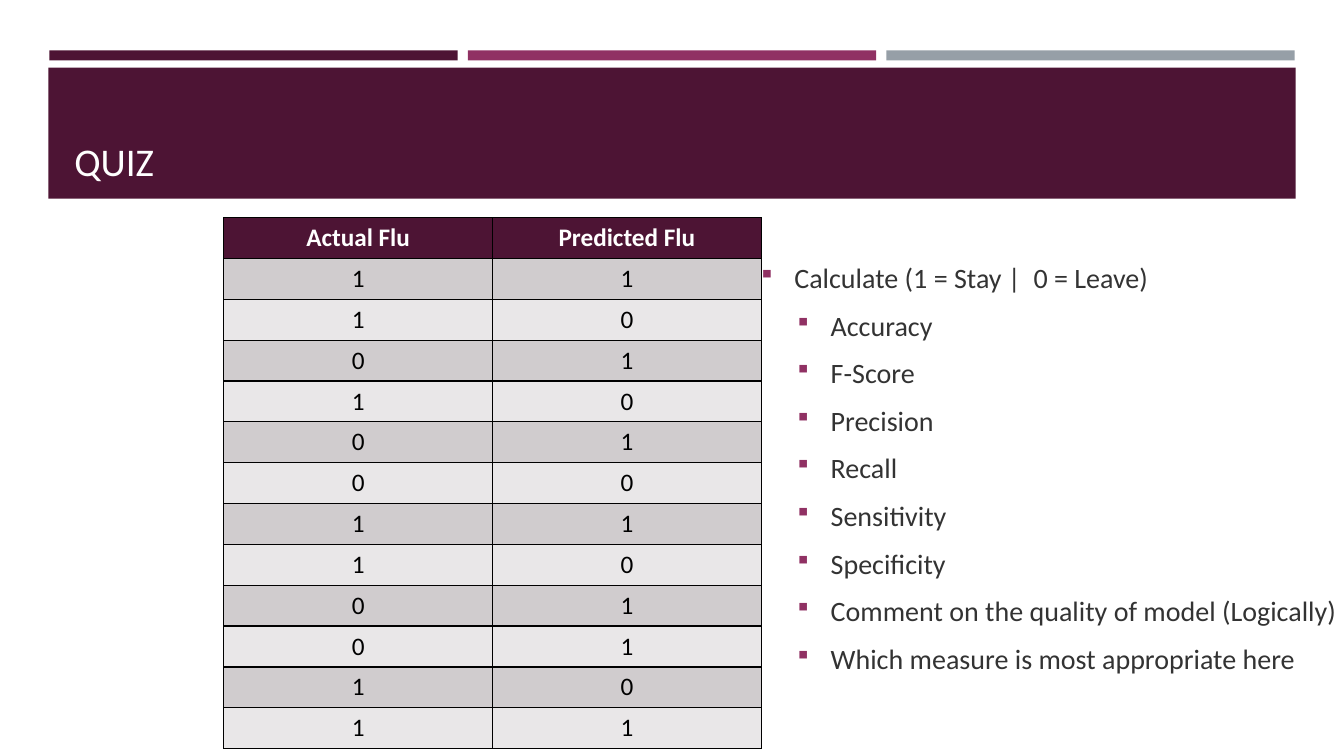
from lxml.etree import SubElement
from pptx import Presentation
from pptx.dml.color import RGBColor
from pptx.enum.shapes import MSO_SHAPE
from pptx.enum.text import MSO_ANCHOR, PP_ALIGN
from pptx.oxml.ns import qn
from pptx.util import Inches, Pt

TITLE = "QUIZ"
HEADS = ("Actual Flu", "Predicted Flu")
ACTUAL = (1, 1, 0, 1, 0, 0, 1, 1, 0, 0, 1, 1)
PREDICTED = (1, 0, 1, 0, 1, 0, 1, 0, 1, 1, 0, 1)
TASK = "Calculate (1 = Stay |  0 = Leave)"
ITEMS = (
    "Accuracy",
    "F-Score",
    "Precision",
    "Recall",
    "Sensitivity",
    "Specificity",
    "Comment on the quality of model (Logically)",
    "Which measure is most appropriate here",
)
THEME = {
    "font": "Calibri",
    "plum": "4D1434",
    "berry": "903163",
    "slate": "969FA7",
    "white": "FFFFFF",
    "black": "000000",
    "text": "333333",
    "bands": ("D0CCCE", "E9E7E8"),
    "title": 28,
    "body": 20,
    "cell": 18,
}


def style(para, size, color, bold=False):
    for run in para.runs:
        font = run.font
        font.name = THEME["font"]
        font.size = Pt(size)
        font.bold = bold
        font.color.rgb = RGBColor.from_string(color)


def add_bar(slide, left, top, width, height, color):
    bar = slide.shapes.add_shape(
        MSO_SHAPE.RECTANGLE, Inches(left), Inches(top), Inches(width), Inches(height)
    )
    bar.shadow.inherit = False
    bar.fill.solid()
    bar.fill.fore_color.rgb = RGBColor.from_string(color)
    bar.line.fill.background()


def add_frame(slide, left, top, width, height, anchor):
    box = slide.shapes.add_textbox(
        Inches(left), Inches(top), Inches(width), Inches(height)
    )
    frame = box.text_frame
    frame.word_wrap = True
    frame.vertical_anchor = anchor
    return frame


def add_bullet(para, left):
    props = para._p.get_or_add_pPr()
    props.set("marL", str(Inches(left)))
    props.set("indent", str(Inches(-0.33)))
    color = SubElement(props, qn("a:buClr"))
    SubElement(color, qn("a:srgbClr"), val=THEME["berry"])
    SubElement(props, qn("a:buSzPct"), val="92000")
    SubElement(props, qn("a:buFont"), typeface="Wingdings")
    SubElement(props, qn("a:buChar"), char="§")


def add_border(cell):
    props = cell._tc.get_or_add_tcPr()
    for index, side in enumerate(("lnL", "lnR", "lnT", "lnB")):
        line = props.makeelement(qn("a:" + side), {"w": str(Pt(1))})
        fill = SubElement(line, qn("a:solidFill"))
        SubElement(fill, qn("a:srgbClr"), val=THEME["black"])
        props.insert(index, line)


def add_grid(slide):
    rows = [HEADS, *zip(ACTUAL, PREDICTED)]
    grid = slide.shapes.add_table(
        len(rows), len(HEADS), Inches(2.22), Inches(2.16), Inches(5.33), Inches(5.27)
    ).table
    for r, row in enumerate(rows):
        head = r == 0
        fill = THEME["plum"] if head else THEME["bands"][(r - 1) % 2]
        ink = THEME["white"] if head else THEME["black"]
        for c, value in enumerate(row):
            cell = grid.cell(r, c)
            cell.text_frame.text = str(value)
            cell.fill.solid()
            cell.fill.fore_color.rgb = RGBColor.from_string(fill)
            add_border(cell)
            para = cell.text_frame.paragraphs[0]
            para.alignment = PP_ALIGN.CENTER
            style(para, THEME["cell"], ink, head)


def add_list(slide):
    frame = add_frame(slide, 7.45, 2.4, 5.88, 4.48, MSO_ANCHOR.MIDDLE)
    frame.margin_right = 0
    frame.text = "\n".join((TASK, *ITEMS))
    for index, para in enumerate(frame.paragraphs):
        para.level = min(index, 1)
        add_bullet(para, 0.69 if index else 0.33)
        if index:
            para.space_before = Pt(4)
        para.space_after = Pt(6)
        style(para, THEME["body"], THEME["text"])


def main():
    deck = Presentation()
    deck.slide_width = Inches(13.33)
    deck.slide_height = Inches(7.5)
    slide = deck.slides.add_slide(deck.slide_layouts[6])

    for index, name in enumerate(("plum", "berry", "slate")):
        add_bar(slide, 0.49 + index * 4.15, 0.5, 4.05, 0.1, THEME[name])
    add_bar(slide, 0.48, 0.67, 12.37, 1.3, THEME["plum"])

    title = add_frame(slide, 0.64, 0.77, 12.06, 1.11, MSO_ANCHOR.BOTTOM)
    title.text = TITLE
    style(title.paragraphs[0], THEME["title"], THEME["white"])

    add_grid(slide)
    add_list(slide)
    deck.save("out.pptx")


if __name__ == "__main__":
    main()
